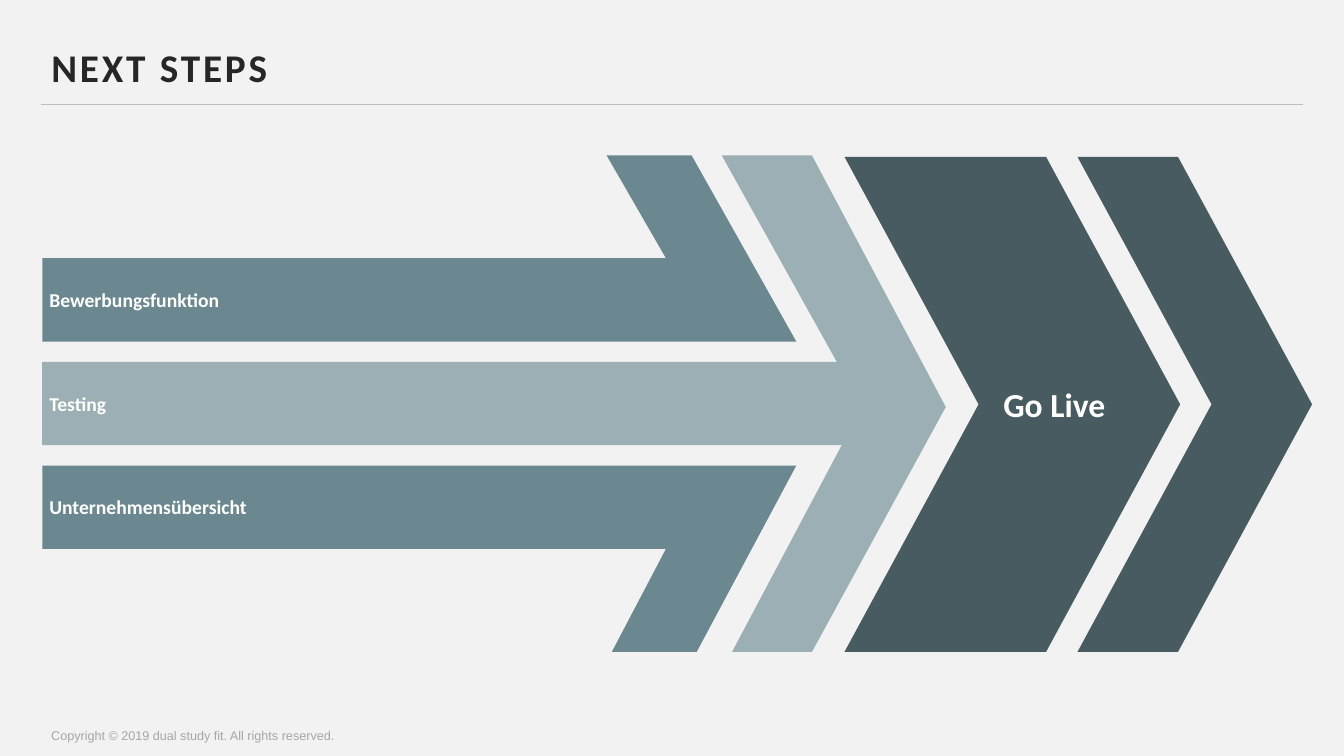
import pptx
import pptx.dml.color
import pptx.enum.shapes
import pptx.enum.text
import pptx.oxml
import pptx.oxml.ns
import pptx.util

Pt = pptx.util.Pt
RGBColor = pptx.dml.color.RGBColor
ANCHOR = pptx.enum.text.MSO_ANCHOR
ALIGN = pptx.enum.text.PP_ALIGN

PAPER = RGBColor(0xF2, 0xF2, 0xF2)
INK = RGBColor(0x26, 0x26, 0x26)
RULE = RGBColor(0xBF, 0xBF, 0xBF)
GREY = RGBColor(0xA6, 0xA6, 0xA6)
WHITE = RGBColor(0xFF, 0xFF, 0xFF)
TEAL = RGBColor(0x6B, 0x88, 0x91)
PALE = RGBColor(0x9B, 0xAF, 0xB5)
DARK = RGBColor(0x47, 0x5B, 0x61)

TITLE = "NEXT STEPS"
GOAL = "Go Live"
COPYRIGHT = "Copyright © 2019 dual study fit. All rights reserved."
STEPS = [("Bewerbungsfunktion", 449), ("Testing", 573), ("Unternehmensübersicht", 449)]

# Arrow geometry: edges shared by the bars and the chevrons
LEFT, TOP, BOTTOM = 30.2, 111, 465.7
BAR_TOP, BAR_H, PITCH = 184.5, 59.5, 74
bars = [(BAR_TOP + i * PITCH, BAR_TOP + i * PITCH + BAR_H) for i in range(len(STEPS))]
(top1, end1), (top2, end2), (top3, end3) = bars

ARROWS = [
    (TEAL, [(LEFT, top1), (475.7, top1), (433.3, TOP), (494, TOP), (568.8, end1), (LEFT, end1)]),
    (TEAL, [(LEFT, end3), (475.7, end3), (437, BOTTOM), (497.6, BOTTOM), (568.8, top3),
            (LEFT, top3)]),
    (PALE, [(LEFT, top2), (597.8, top2), (515.6, TOP), (580, TOP), (675.6, 290.7),
            (580, BOTTOM), (522.9, BOTTOM), (601.3, end2), (LEFT, end2)]),
]
CHEVRON_TOP, CHEVRON_H, CHEVRON_POINT = 112, 353.7, 95.8
CHEVRONS = [(769.6, 167.6), (603.2, 239.8)]  # left, width

prs = pptx.Presentation()
prs.slide_width, prs.slide_height = Pt(960), Pt(540)
s = prs.slides.add_slide(prs.slide_layouts[5])
s.background.fill.solid()
s.background.fill.fore_color.rgb = PAPER


def paint(sp, color):
    sp.shadow.inherit = False
    sp.fill.solid()
    sp.fill.fore_color.rgb = color
    sp.line.fill.background()


def write(sp, text, size, color, bold=True, font="Calibri"):
    p = sp.text_frame.paragraphs[0]
    p.text = text
    p.alignment = ALIGN.LEFT
    r = p.runs[0]
    r.font.size, r.font.bold, r.font.name = Pt(size), bold, font
    r.font.color.rgb = color
    return p


def add_label(x, y, w, h, *style, wrap=True, anchor=ANCHOR.TOP, **options):
    sp = s.shapes.add_textbox(Pt(x), Pt(y), Pt(w), Pt(h))
    sp.text_frame.word_wrap = wrap
    sp.text_frame.vertical_anchor = anchor
    write(sp, *style, **options)
    return sp


rule = s.shapes.add_connector(pptx.enum.shapes.MSO_CONNECTOR.STRAIGHT,
                              Pt(29.5), Pt(74.7), Pt(931), Pt(74.7))
rule.line.color.rgb = RULE
rule.line.width = Pt(0.75)
pptx.oxml.ns.qn("a:effectLst")
rule._element.spPr.append(pptx.oxml.parse_xml(
    "<a:effectLst %s/>" % pptx.oxml.ns.nsdecls("a")))

title = s.shapes.title
title.left, title.top, title.width, title.height = Pt(29.5), Pt(23.8), Pt(907), Pt(51.8)
title.text_frame.vertical_anchor = ANCHOR.MIDDLE
p = write(title, TITLE, 28, INK)
p.line_spacing = 0.9
p.runs[0]._r.get_or_add_rPr().set("spc", "200")

for color, points in ARROWS:
    corners = [(Pt(x), Pt(y)) for x, y in points]
    builder = s.shapes.build_freeform(*corners[0])
    builder.add_line_segments(corners[1:], close=True)
    paint(builder.convert_to_shape(), color)

for (text, width), (top, _) in zip(STEPS, bars):
    tf = add_label(29.5, top, width, BAR_H, text, 14, WHITE, anchor=ANCHOR.MIDDLE).text_frame
    tf.margin_left = tf.margin_right = tf.margin_top = tf.margin_bottom = Pt(5.76)

for left, width in CHEVRONS:
    sp = s.shapes.add_shape(pptx.enum.shapes.MSO_SHAPE.CHEVRON,
                            Pt(left), Pt(CHEVRON_TOP), Pt(width), Pt(CHEVRON_H))
    sp.adjustments[0] = CHEVRON_POINT / width
    paint(sp, DARK)

add_label(709.6, 270.8, 102, 36.4, GOAL, 24, WHITE, wrap=False)
add_label(29.5, 516.2, 540, 18, COPYRIGHT, 9, GREY, bold=False, font="Arial")

prs.save("out.pptx")
